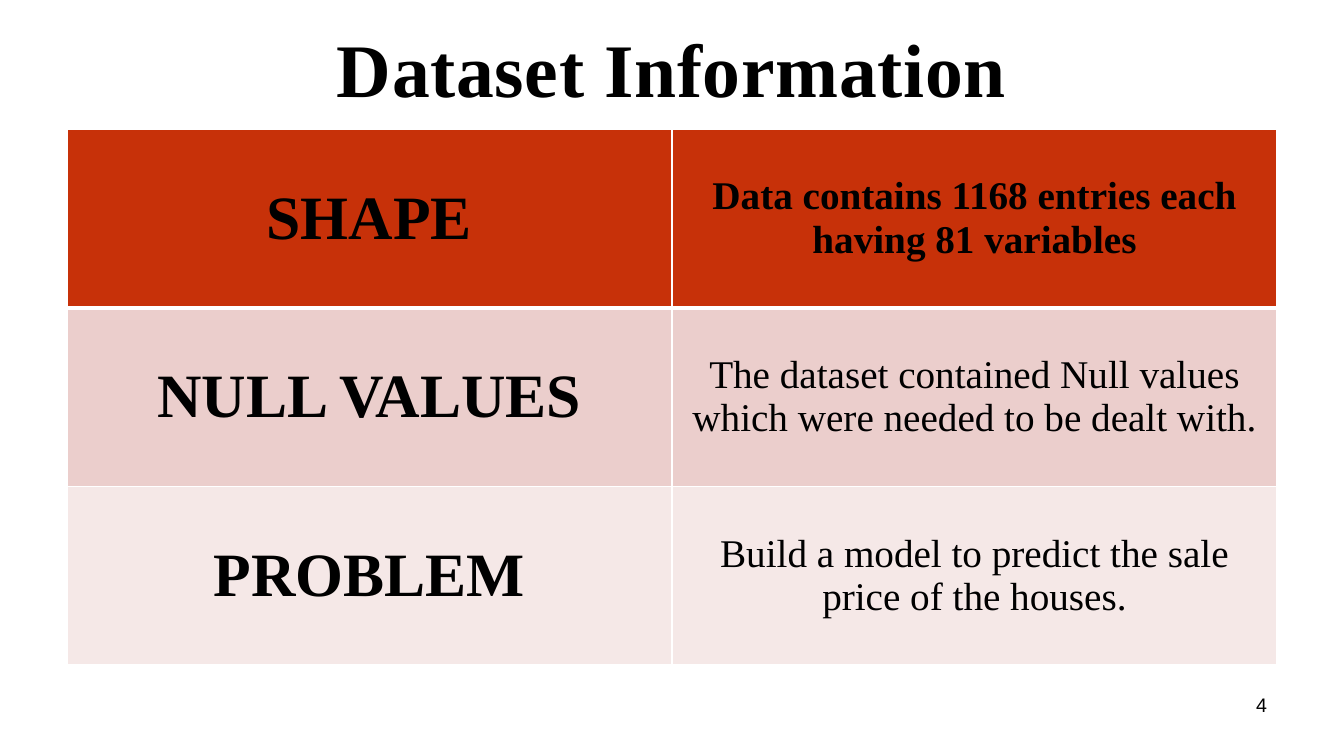
from dataclasses import dataclass

from lxml.etree import SubElement
from pptx import Presentation
from pptx.dml.color import RGBColor as Rgb
from pptx.enum.text import MSO_ANCHOR as Anchor, PP_ALIGN as Align
from pptx.oxml.ns import qn
from pptx.util import Pt

EMU_PER_PIXEL = 914400 / 100.8


@dataclass(frozen=True)
class Theme:
    serif: str = "Times New Roman"
    sans: str = "Arial"
    ink: str = "000000"
    rule: str = "FFFFFF"
    row_fills: tuple = ("C73109", "EBCECC", "F5E8E7")
    title_size: int = 54
    label_size: int = 44
    detail_size: int = 28
    number_size: int = 14


THEME = Theme()

FACTS = [
    ("SHAPE", "Data contains 1168 entries each having 81 variables"),
    ("NULL VALUES", "The dataset contained Null values which were needed to be dealt with."),
    ("PROBLEM", "Build a model to predict the sale price of the houses."),
]


def px(pixels):
    return round(pixels * EMU_PER_PIXEL)


def write(frame, text, size, font, align, bold=False):
    frame.text = text
    frame.word_wrap = True
    line = frame.paragraphs[0]
    line.alignment = align
    run = line.runs[0]
    run.font.size = Pt(size)
    run.font.name = font
    run.font.bold = bold
    run.font.color.rgb = Rgb.from_string(THEME.ink)
    return run


def set_borders(cell, widths):
    properties = cell._tc.get_or_add_tcPr()
    for side, width in widths.items():
        border = SubElement(properties, qn(f"a:ln{side}"), w=str(Pt(width)))
        paint = SubElement(border, qn("a:solidFill"))
        SubElement(paint, qn("a:srgbClr"), val=THEME.rule)


def add_heading(slide, box, text):
    heading = slide.shapes.title
    heading.left, heading.top, heading.width, heading.height = map(px, box)
    heading.text_frame.vertical_anchor = Anchor.MIDDLE
    run = write(heading.text_frame, text, THEME.title_size, THEME.serif, Align.CENTER, True)
    run._r.get_or_add_rPr().set("spc", "50")


def add_facts(slide, box, facts):
    grid = slide.shapes.add_table(len(facts), 2, *map(px, box)).table
    for column in grid.columns:
        column.width = px(box[2] / 2)
    for index, (fact, fill) in enumerate(zip(facts, THEME.row_fills)):
        grid.rows[index].height = px(box[3] / len(facts))
        is_header = index == 0
        widths = {"L": 1, "R": 1, "T": 3 if index == 1 else 1, "B": 3 if is_header else 1}
        styles = [(THEME.label_size, True), (THEME.detail_size, is_header)]
        for cell, text, (size, bold) in zip(grid.rows[index].cells, fact, styles):
            set_borders(cell, widths)
            cell.fill.solid()
            cell.fill.fore_color.rgb = Rgb.from_string(fill)
            cell.vertical_anchor = Anchor.MIDDLE
            write(cell.text_frame, text, size, THEME.serif, Align.CENTER, bold)


def add_page_number(slide, box, number):
    page = slide.shapes.add_textbox(*map(px, box))
    write(page.text_frame, str(number), THEME.number_size, THEME.sans, Align.RIGHT)


def add_dataset_slide(deck, box):
    left, top, width, height = box
    slide = deck.slides.add_slide(deck.slide_layouts[5])
    margin = 67
    inner = width - 2 * margin
    add_heading(slide, (left + margin, top + 24, inner, 86), "Dataset Information")
    add_facts(slide, (left + margin, top + 129, inner, 536), FACTS)
    add_page_number(slide, (left + width - margin - 314, top + height - 68, 314, 52), 4)


deck = Presentation()
deck.slide_width, deck.slide_height = px(1344), px(756)
add_dataset_slide(deck, (0, 0, 1344, 756))
deck.save("out.pptx")
